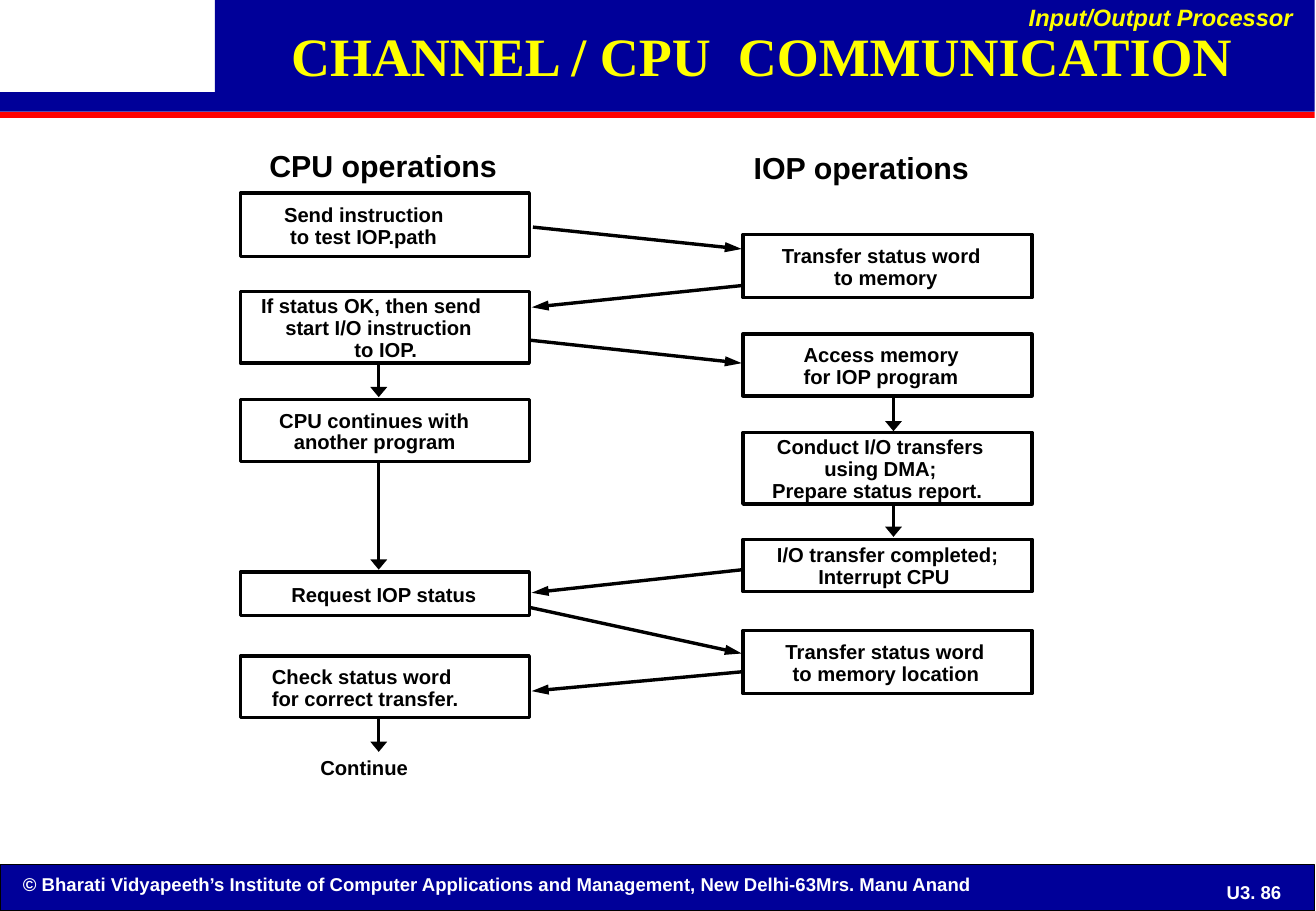
"""Build the channel and CPU communication flow slide."""
from lxml.etree import SubElement
from pptx import Presentation
from pptx.dml.color import RGBColor
from pptx.enum.shapes import MSO_CONNECTOR as Connector, MSO_SHAPE as Shape
from pptx.enum.text import MSO_ANCHOR as Anchor, MSO_AUTO_SIZE as AutoSize, PP_ALIGN as Align
from pptx.oxml.ns import qn
from pptx.util import Inches, Pt

BLACK, WHITE, NAVY, RED, YELLOW = "000000", "FFFFFF", "000099", "FF0000", "FFFF00"
SLIDE_WIDTH, SLIDE_HEIGHT, BAR_WIDTH = 10.84, 7.5, 10.83
CPU_LEFT, IOP_LEFT, BOX_WIDTH = 1.98, 6.12, 2.38
CPU_ARROW, IOP_ARROW = 3.12, 7.36

TITLE = "CHANNEL / CPU  COMMUNICATION"
BARS = [
    (0, 7.12, BAR_WIDTH, 0.38, NAVY, BLACK),
    (0, 0.92, BAR_WIDTH, 0.05, RED, None),
    (1.77, 0, 9.06, 0.76, NAVY, None),
    (0, 0.76, BAR_WIDTH, 0.16, NAVY, None),
]
LABELS = [
    ("© Bharati Vidyapeeth’s Institute of Computer Applications and Management, "
     "New Delhi-63Mrs. Manu Anand", (0.09, 7.14, 9.95, 0.29), {"size": 11, "color": WHITE}),
    ("U3. 86", (9.85, 7.19, 0.96, 0.31),
     {"size": 11, "color": WHITE, "align": Align.CENTER, "anchor": Anchor.MIDDLE}),
    ("Input/Output Processor", (8.37, 0, 2.38, 0.31),
     {"size": 14, "color": YELLOW, "italic": True, "align": Align.RIGHT, "spacing": 0.9}),
    ("CPU operations", (2.12, 1.2, 2.07, 0.37), {"size": 18, "spacing": 0.9}),
    ("IOP operations", (6.11, 1.21, 1.98, 0.37), {"size": 18, "spacing": 0.9}),
    ("Continue", (2.54, 6.19, 0.92, 0.28), {"spacing": 0.9}),
]
# Each step: top, height, then lines with their indent from the box edge.
CPU_STEPS = [
    (1.59, 0.52, [("Send instruction", 0.36), ("to test IOP.path", 0.41)]),
    (2.4, 0.59, [("If status OK, then send", 0.17), ("start I/O instruction", 0.37),
                 ("to IOP.", 0.94)]),
    (3.29, 0.51, [("CPU continues with", 0.32), ("another program", 0.44)]),
    (4.71, 0.36, [("Request IOP status", 0.42)]),
    (5.4, 0.51, [("Check status word", 0.26), ("for correct transfer.", 0.26)]),
]
IOP_STEPS = [
    (1.93, 0.52, [("Transfer status word", 0.32), ("to memory", 0.75)]),
    (2.75, 0.51, [("Access memory", 0.5), ("for IOP program", 0.5)]),
    (3.56, 0.59, [("Conduct I/O transfers", 0.28), ("using DMA;", 0.67),
                  ("Prepare status report.", 0.24)]),
    (4.44, 0.43, [("I/O transfer completed;", 0.28), ("Interrupt CPU", 0.62)]),
    (5.19, 0.52, [("Transfer status word", 0.35), ("to memory location", 0.41)]),
]
MESSAGES = [
    (4.39, 1.87, 6.11, 2.05), (6.12, 2.35, 4.38, 2.53), (4.36, 2.8, 6.11, 2.99),
    (6.12, 4.69, 4.38, 4.88), (4.36, 5, 6.11, 5.38), (6.12, 5.53, 4.38, 5.69),
]
SEQUENCE = [
    (CPU_ARROW, 2.99, 3.27), (CPU_ARROW, 3.8, 4.69), (CPU_ARROW, 5.92, 6.19),
    (IOP_ARROW, 3.27, 3.55), (IOP_ARROW, 4.15, 4.42),
]


def rgb(value):
    """Turn a hex string into a colour."""
    return RGBColor.from_string(value)


def write(frame, lines, size=12, color=BLACK, font="Arial", italic=False, align=Align.LEFT,
          anchor=Anchor.TOP, spacing=1.0, wrap=False, insets=(0.1, 0.05, 0.1, 0.05)):
    """Fill a text frame with (text, indent) lines in one format."""
    frame.auto_size, frame.word_wrap, frame.vertical_anchor = AutoSize.NONE, wrap, anchor
    (frame.margin_left, frame.margin_top,
     frame.margin_right, frame.margin_bottom) = map(Inches, insets)
    for index, (text, indent) in enumerate(lines):
        paragraph = frame.add_paragraph() if index else frame.paragraphs[0]
        if indent:
            paragraph._p.get_or_add_pPr().set("marL", str(Inches(indent)))
        paragraph.alignment, paragraph.line_spacing = align, spacing
        run = paragraph.add_run()
        run.text = text
        run.font.name, run.font.size = font, Pt(size)
        run.font.bold, run.font.italic = True, italic
        run.font.color.rgb = rgb(color)


def add_box(slide, left, top, width, height, fill=None, line=None, line_width=0.75):
    """Add a plain rectangle."""
    shape = slide.shapes.add_shape(Shape.RECTANGLE, *map(Inches, (left, top, width, height)))
    shape.shadow.inherit = False
    if fill:
        shape.fill.solid()
        shape.fill.fore_color.rgb = rgb(fill)
    else:
        shape.fill.background()
    if line:
        shape.line.color.rgb, shape.line.width = rgb(line), Pt(line_width)
    else:
        shape.line.fill.background()
    return shape


def add_arrow(slide, points, head_width, head_length):
    """Add a black arrow ending at the second point."""
    arrow = slide.shapes.add_connector(Connector.STRAIGHT, *map(Inches, points))
    arrow.line.color.rgb, arrow.line.width = rgb(BLACK), Pt(2)
    SubElement(arrow.line._get_or_add_ln(), qn("a:tailEnd"),
               type="triangle", w=head_width, len=head_length)
    SubElement(arrow._element.spPr, qn("a:effectLst"))


def main():
    """Create and save the slide."""
    presentation = Presentation()
    presentation.slide_width, presentation.slide_height = Inches(SLIDE_WIDTH), Inches(SLIDE_HEIGHT)
    slide = presentation.slides.add_slide(presentation.slide_layouts[5])
    for bar in BARS:
        add_box(slide, *bar)

    title = slide.shapes.title
    title.left, title.top, title.width, title.height = map(Inches, (1.75, 0, 9.05, 0.9))
    write(title.text_frame, [(TITLE, 0)], size=32, color=YELLOW, font="Times New Roman",
          align=Align.CENTER, anchor=Anchor.MIDDLE, wrap=True, insets=(0.07, 0.03, 0.07, 0.03))
    slide.shapes._spTree.append(title._element)

    for text, place, style in LABELS:
        label = slide.shapes.add_textbox(*map(Inches, place))
        write(label.text_frame, [(text, 0)], **style)

    for left, steps in ((CPU_LEFT, CPU_STEPS), (IOP_LEFT, IOP_STEPS)):
        for top, height, lines in steps:
            box = add_box(slide, left, top, BOX_WIDTH, height, line=BLACK, line_width=2)
            write(box.text_frame, lines, anchor=Anchor.MIDDLE, spacing=0.9, wrap=True,
                  insets=(0, 0.03, 0, 0))

    for points in MESSAGES:
        add_arrow(slide, points, "med", "lg")
    for x, start, end in SEQUENCE:
        add_arrow(slide, (x, start, x, end), "lg", "med")
    presentation.save("out.pptx")


if __name__ == "__main__":
    main()
